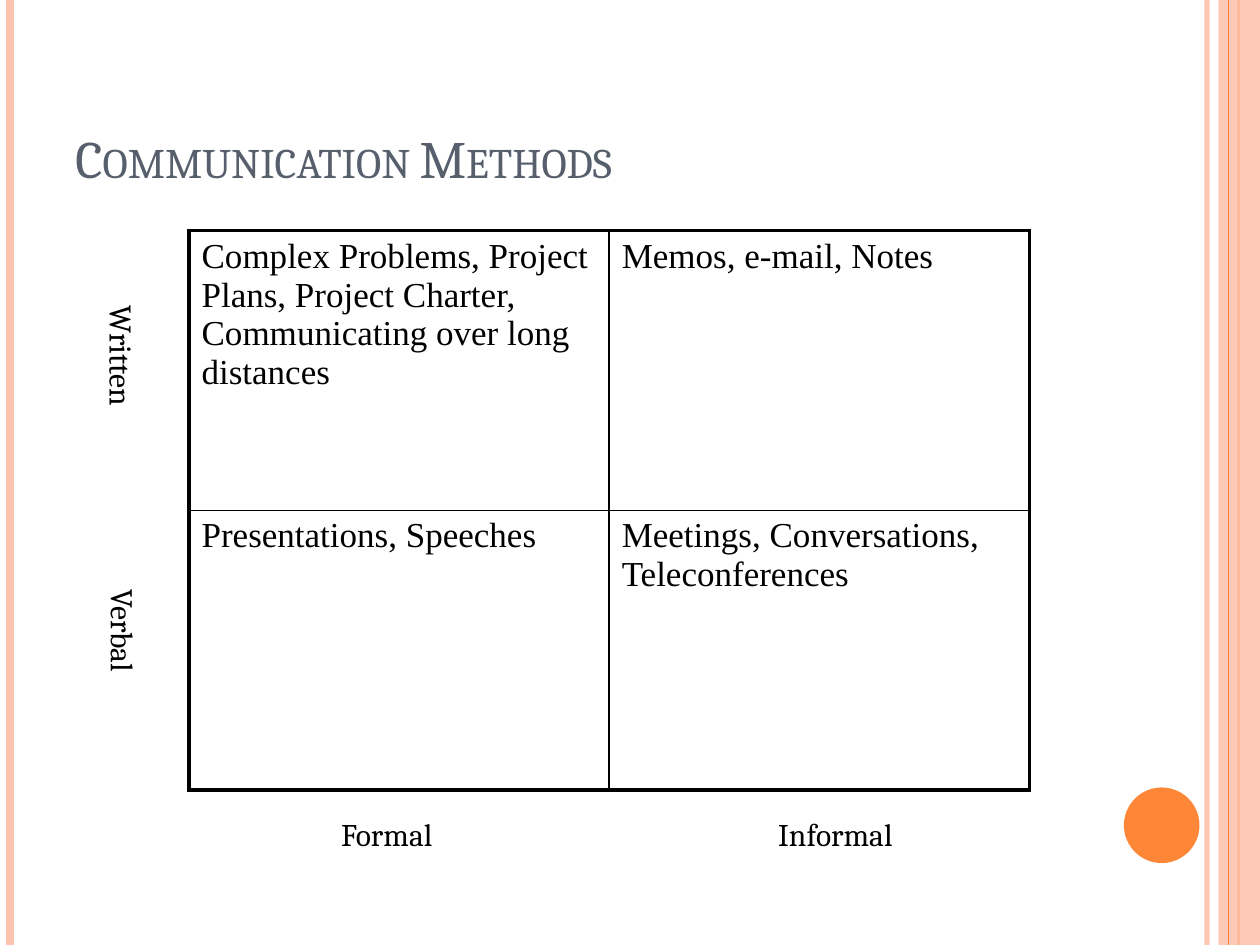
from lxml.etree import SubElement
from pptx import Presentation
from pptx.dml.color import RGBColor
from pptx.enum.shapes import MSO_CONNECTOR, MSO_SHAPE
from pptx.enum.text import MSO_ANCHOR, MSO_AUTO_SIZE, PP_ALIGN
from pptx.oxml import parse_xml
from pptx.oxml.ns import nsdecls, qn
from pptx.util import Inches, Pt

BLACK = RGBColor(0x00, 0x00, 0x00)
SLATE = RGBColor(0x57, 0x5F, 0x6D)
ORANGE = RGBColor(0xFE, 0x86, 0x37)
PEACH = RGBColor(0xFE, 0xC3, 0xAE)

WIDTH, HEIGHT = 10, 7.5
LABEL_FONT, TABLE_FONT = "Cambria", "Times New Roman"
OUTER_BORDER, INNER_BORDER = 2.25, 1

METHODS = [
    ["Complex Problems, Project Plans, Project Charter, "
     "Communicating over long distances", "Memos, e-mail, Notes"],
    ["Presentations, Speeches", "Meetings, Conversations, Teleconferences"],
]
LABELS = [
    ("Written", (0.57, 2.33, 0.6, 1.25), PP_ALIGN.LEFT, "eaVert"),
    ("Verbal", (0.58, 4.58, 0.6, 1.25), PP_ALIGN.CENTER, "eaVert"),
    ("Formal", (2.37, 6.42, 1.4, 0.5), PP_ALIGN.CENTER, "horz"),
    ("Informal", (5.67, 6.42, 1.92, 0.5), PP_ALIGN.CENTER, "horz"),
]


def set_opacity(properties, percent):
    """Make the solid colour inside a properties element translucent."""
    color = properties.find(".//" + qn("a:srgbClr"))
    SubElement(color, qn("a:alpha"), val=str(percent * 1000))


def add_stripe(page, x, color, width, opacity=100):
    """Draw a vertical line over the full height of the slide."""
    stripe = page.shapes.add_connector(
        MSO_CONNECTOR.STRAIGHT, Inches(x), Inches(0), Inches(x), Inches(HEIGHT))
    stripe.line.color.rgb = color
    stripe.line.width = Pt(width)
    properties = stripe._element.spPr
    SubElement(properties, qn("a:effectLst"))
    if opacity < 100:
        set_opacity(properties, opacity)


def add_block(page, kind, place, color, opacity=100):
    """Add a filled shape without outline or shadow."""
    block = page.shapes.add_shape(kind, *map(Inches, place))
    block.shadow.inherit = False
    block.fill.solid()
    block.fill.fore_color.rgb = color
    block.line.fill.background()
    if opacity < 100:
        set_opacity(block._element.spPr, opacity)


def write(frame, text, font, size, color, align=PP_ALIGN.LEFT):
    """Put one formatted span into a text frame and return it."""
    paragraph = frame.paragraphs[0]
    paragraph.alignment = align
    span = paragraph.add_run()
    span.text = text
    for name, value in {"name": font, "size": Pt(size)}.items():
        setattr(span.font, name, value)
    span.font.color.rgb = color
    return span


def add_title(page, text):
    """Add the title in small capitals at the bottom of its box."""
    box = page.shapes.add_textbox(*map(Inches, (0.5, 0.3, 8.17, 1.25)))
    frame = box.text_frame
    for name, value in {"word_wrap": True, "vertical_anchor": MSO_ANCHOR.BOTTOM}.items():
        setattr(frame, name, value)
    span = write(frame, text, LABEL_FONT, 30, SLATE)
    span.font._element.set("cap", "small")


def add_label(page, text, place, align, direction):
    """Add an axis label in the given writing direction."""
    frame = page.shapes.add_textbox(*map(Inches, place)).text_frame
    for name, value in {"word_wrap": True,
                        "auto_size": MSO_AUTO_SIZE.SHAPE_TO_FIT_TEXT}.items():
        setattr(frame, name, value)
    frame._txBody.bodyPr.set("vert", direction)
    write(frame, text, LABEL_FONT, 18, BLACK, align)


def set_borders(cell, outer_sides):
    """Draw thick borders on the outer sides of a cell and thin ones elsewhere."""
    properties = cell._tc.get_or_add_tcPr()
    for index, side in enumerate("LRTB"):
        width = Pt(OUTER_BORDER if side in outer_sides else INNER_BORDER)
        properties.insert(index, parse_xml(
            f'<a:ln{side} {nsdecls("a")} w="{width}"><a:solidFill>'
            f'<a:srgbClr val="{BLACK}"/></a:solidFill></a:ln{side}>'))


def add_matrix(page, rows):
    """Add the table of communication methods."""
    table = page.shapes.add_table(
        len(rows), len(rows[0]), *map(Inches, (1.5, 1.83, 6.67, 4.44))).table
    table.first_row = table.horz_banding = False
    for row, texts in enumerate(rows):
        for column, text in enumerate(texts):
            cell = table.cell(row, column)
            cell.fill.background()
            set_borders(cell, "TB"[row] + "LR"[column])
            write(cell.text_frame, text, TABLE_FONT, 20, BLACK)


def add_decoration(page):
    """Add the edge stripes, side band and corner disc."""
    add_stripe(page, 9.58, PEACH, 3, 93)
    add_stripe(page, 0.08, PEACH, 4.5)
    add_stripe(page, 9.83, ORANGE, 1.5)
    add_block(page, MSO_SHAPE.RECTANGLE, (9.67, 0, 0.33, HEIGHT), PEACH, 87)
    add_stripe(page, 9.75, ORANGE, 0.75)
    add_block(page, MSO_SHAPE.OVAL, (8.92, 6.25, 0.6, 0.6), ORANGE)


def main():
    """Build the communication methods slide."""
    deck = Presentation()
    deck.slide_width, deck.slide_height = Inches(WIDTH), Inches(HEIGHT)
    page = deck.slides.add_slide(deck.slide_layouts[6])
    add_decoration(page)
    add_title(page, "Communication Methods")
    add_matrix(page, METHODS)
    for label in LABELS:
        add_label(page, *label)
    deck.save("out.pptx")


if __name__ == "__main__":
    main()
